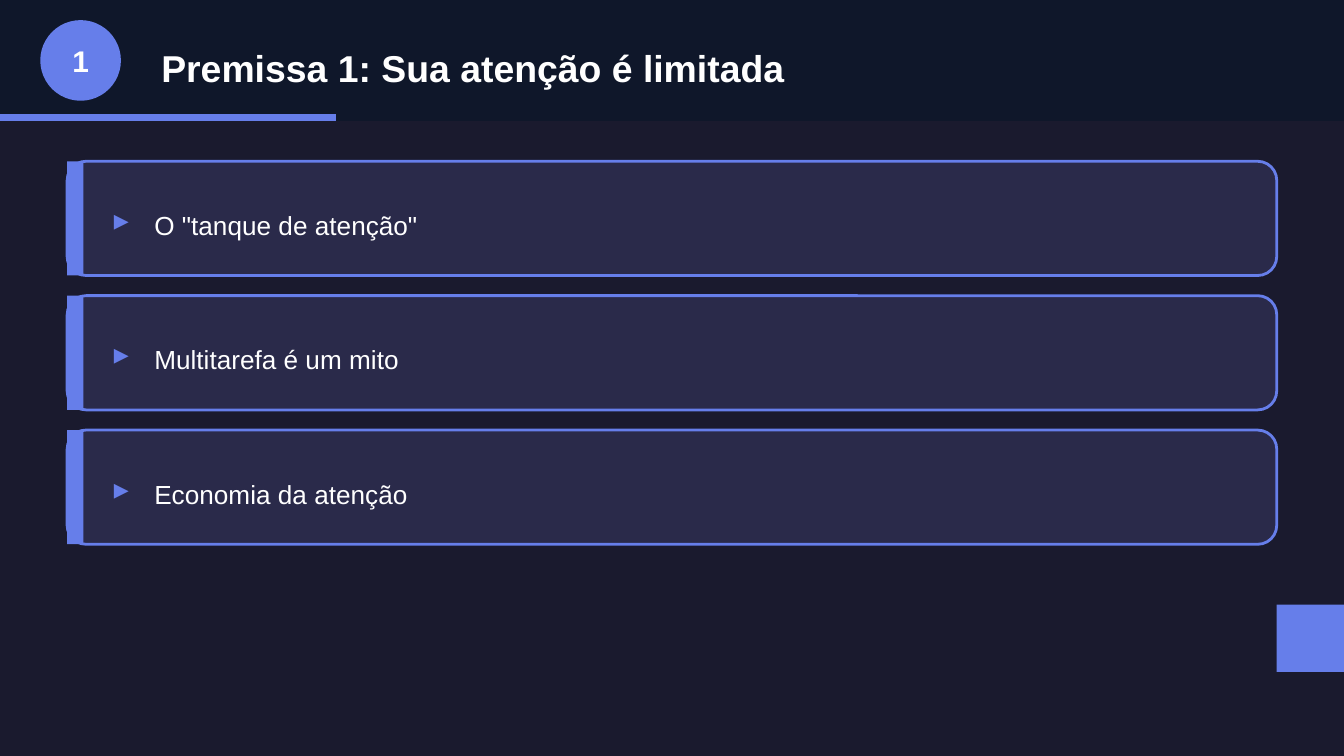
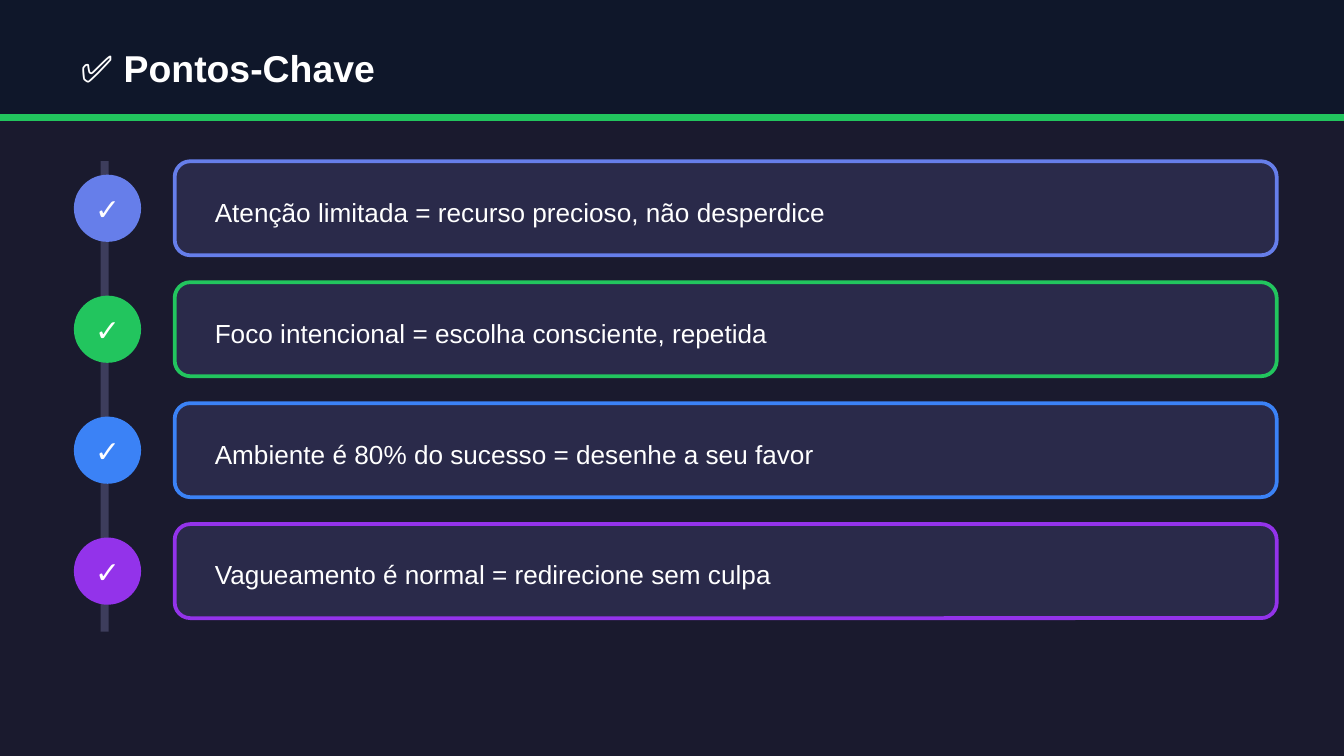
from pptx import Presentation
from pptx.dml.color import RGBColor
from pptx.enum.shapes import MSO_SHAPE
from pptx.enum.text import MSO_ANCHOR, MSO_AUTO_SIZE, PP_ALIGN
from pptx.util import Pt

RECT, ROUND, OVAL = MSO_SHAPE.RECTANGLE, MSO_SHAPE.ROUNDED_RECTANGLE, MSO_SHAPE.OVAL
LEFT, CENTER = PP_ALIGN.LEFT, PP_ALIGN.CENTER
MIDDLE = MSO_ANCHOR.MIDDLE
NO_FIT = MSO_AUTO_SIZE.NONE

BACK = RGBColor(0x1A, 0x1A, 0x2E)
BAND = RGBColor(0x0F, 0x17, 0x2A)
PANEL = RGBColor(0x2A, 0x2A, 0x4A)
RAIL = RGBColor(0x3D, 0x3D, 0x5C)
INDIGO = RGBColor(0x66, 0x7E, 0xEA)
GREEN = RGBColor(0x22, 0xC5, 0x5E)
BLUE = RGBColor(0x3B, 0x82, 0xF6)
PURPLE = RGBColor(0x93, 0x33, 0xEA)
WHITE = RGBColor(0xFF, 0xFF, 0xFF)

FONT = "Arial"
WIDTH, HEIGHT = 720, 405
HEAD, RULE = 64.8, 3.6
TOP = 86.4

PREMISE = ['O "tanque de atenção"', "Multitarefa é um mito", "Economia da atenção"]
POINTS = [
    ("Atenção limitada = recurso precioso, não desperdice", INDIGO),
    ("Foco intencional = escolha consciente, repetida", GREEN),
    ("Ambiente é 80% do sucesso = desenhe a seu favor", BLUE),
    ("Vagueamento é normal = redirecione sem culpa", PURPLE),
]


def add_shape(slide, kind, x, y, w, h, fill, line=None, weight=0):
    shape = slide.shapes.add_shape(kind, Pt(x), Pt(y), Pt(w), Pt(h))
    shape.shadow.inherit = False
    shape.fill.solid()
    shape.fill.fore_color.rgb = fill
    if line is None:
        shape.line.fill.background()
    else:
        shape.line.color.rgb = line
        shape.line.width = Pt(weight)


def write(frame, text, size, bold, color=WHITE, align=LEFT):
    frame.text = text
    frame.word_wrap = True
    frame.auto_size = NO_FIT
    frame.vertical_anchor = MIDDLE
    para = frame.paragraphs[0]
    para.alignment = align
    font = para.font
    font.name, font.size, font.bold = FONT, Pt(size), bold
    font.color.rgb = color


def add_text(slide, x, y, w, h, text, size=14, bold=False, color=WHITE, align=LEFT):
    box = slide.shapes.add_textbox(Pt(x), Pt(y), Pt(w), Pt(h))
    write(box.text_frame, text, size, bold, color, align)


def add_disc(slide, x, y, size, fill, mark):
    """Circle with a bold mark in its middle."""
    high = 28.8
    add_shape(slide, OVAL, x, y, size, size, fill)
    add_text(slide, x, y + (size - high) / 2, size, high, mark, 16, True, align=CENTER)


def add_head(deck, text, x, w, accent, rule):
    """New slide with its title band and an accent rule of the given width."""
    slide = deck.slides.add_slide(deck.slide_layouts[5])
    slide.background.fill.solid()
    slide.background.fill.fore_color.rgb = BACK
    add_shape(slide, RECT, 0, 0, WIDTH, HEAD, BAND)
    add_shape(slide, RECT, 0, HEAD - RULE, rule, RULE, accent)
    title = slide.shapes.title
    title.left, title.top, title.width, title.height = Pt(x), Pt(18), Pt(w), Pt(36)
    write(title.text_frame, text, 20, True)
    # Bring the title in front of the band
    title.element.getparent().append(title.element)
    return slide


def add_card(slide, x, y, w, h, text):
    """Panel with a side bar and an arrow bullet."""
    add_shape(slide, ROUND, x, y, w, h, PANEL, INDIGO, 1.5)
    add_shape(slide, RECT, x, y, 8.64, h, INDIGO)
    add_text(slide, x + 18, y + 18, 21.6, 25.2, "▸", 16, True, INDIGO)
    add_text(slide, x + 39.6, y + 18, w - 57.6, 32.4, text)


def add_point(slide, x, y, w, h, text, color):
    """Check disc on the rail, with its outlined panel to the right."""
    left = x + 54
    add_disc(slide, x, y + (h - 36) / 2, 36, color, "✓")
    add_shape(slide, ROUND, left, y, w - 54, h, PANEL, color, 2)
    add_text(slide, left + 14.4, y + 10.8, w - 82.8, 32.4, text)


def add_premise(deck):
    slide = add_head(deck, "Premissa 1: Sua atenção é limitada", 79.2, 612, INDIGO, 180)
    add_disc(slide, 21.6, 10.8, 43.2, INDIGO, "1")
    for row, text in enumerate(PREMISE):
        add_card(slide, 36, TOP + row * 72, 648, 61.2, text)
    add_shape(slide, RECT, WIDTH - 36, 324, 36, 36, INDIGO)


def add_points(deck):
    slide = add_head(deck, "✅ Pontos-Chave", 36, 648, GREEN, WIDTH)
    add_shape(slide, RECT, 54, TOP, 4.32, 252, RAIL)
    for row, (text, color) in enumerate(POINTS):
        add_point(slide, 39.6, TOP + row * 64.8, 644.4, 50.4, text, color)


def main():
    deck = Presentation()
    deck.slide_width, deck.slide_height = Pt(WIDTH), Pt(HEIGHT)
    add_premise(deck)
    add_points(deck)
    deck.save("out.pptx")


if __name__ == "__main__":
    main()
